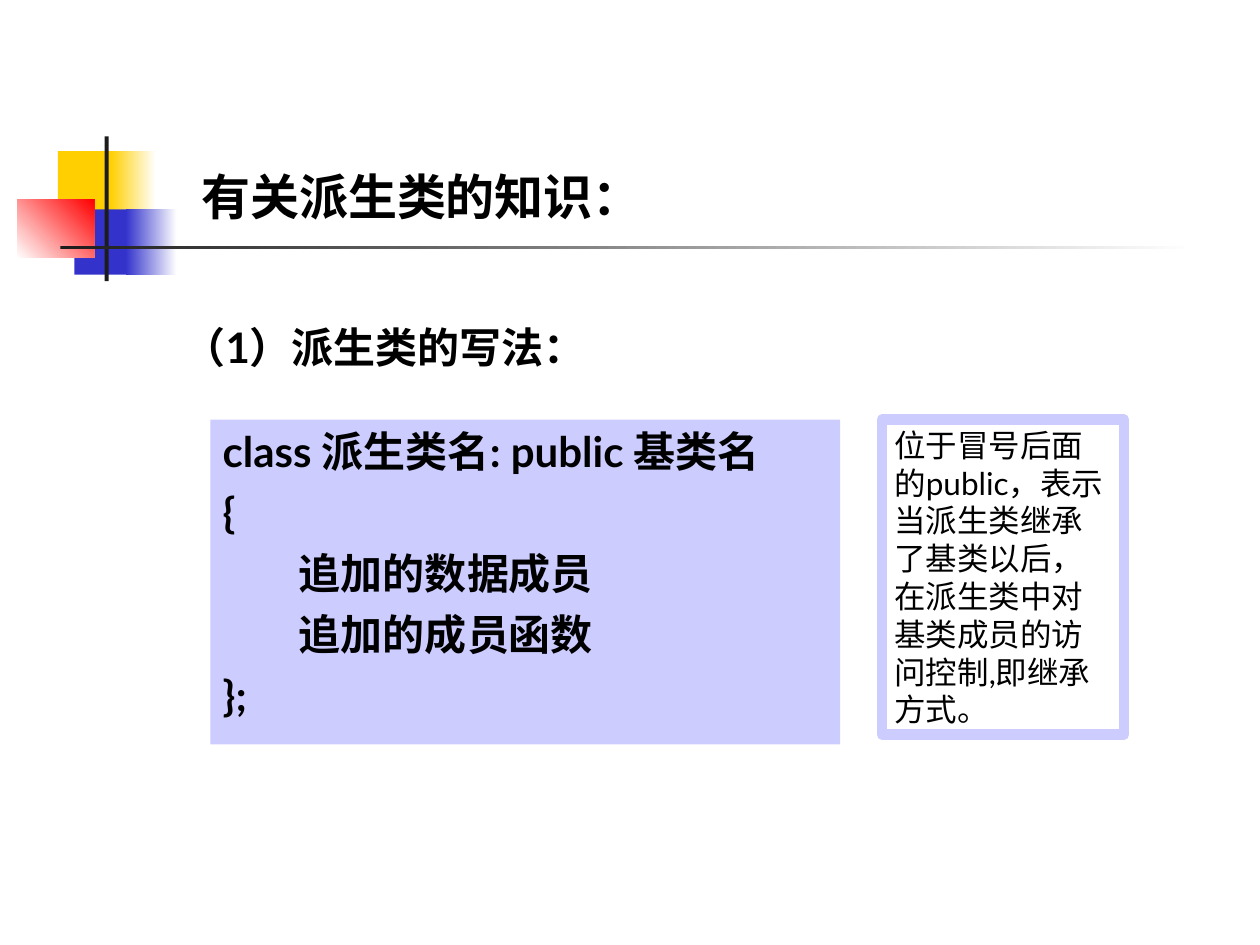
from pptx import Presentation
from pptx.dml.color import RGBColor
from pptx.enum.shapes import MSO_SHAPE
from pptx.enum.text import MSO_ANCHOR, PP_ALIGN
from pptx.oxml.ns import qn
from pptx.util import Cm, Pt
from lxml.etree import SubElement

BLACK = RGBColor(0x00, 0x00, 0x00)
WHITE = RGBColor(0xFF, 0xFF, 0xFF)
YELLOW = RGBColor(0xFF, 0xCF, 0x01)
BLUE = RGBColor(0x33, 0x33, 0xCC)
RED = RGBColor(0xFF, 0x00, 0x00)
CHARCOAL = RGBColor(0x1C, 0x1C, 0x1C)
LAVENDER = RGBColor(0xCC, 0xCC, 0xFF)


class SlideWriter:
    latin_font = "Lato"
    asian_font = "Noto Sans CJK SC"

    def __init__(self, page):
        self.page = page

    def block(self, left, top, width, height, color):
        shape = self.page.shapes.add_shape(
            MSO_SHAPE.RECTANGLE, Cm(left), Cm(top), Cm(width), Cm(height))
        shape.shadow.inherit = False
        shape.line.fill.background()
        shape.fill.solid()
        shape.fill.fore_color.rgb = color
        return shape

    def fade(self, left, top, width, height, start, end, angle=0):
        fill = self.block(left, top, width, height, start).fill
        fill.gradient()
        fill.gradient_angle = angle
        for stop, color, position in zip(fill.gradient_stops, (start, end), (0, 1)):
            stop.color.rgb = color
            stop.position = position

    def text(self, left, top, width, height, lines, size, bold=True,
             anchor=MSO_ANCHOR.TOP, gap=0, hanging=0):
        box = self.page.shapes.add_textbox(Cm(left), Cm(top), Cm(width), Cm(height))
        frame = box.text_frame
        frame.word_wrap = True
        frame.vertical_anchor = anchor
        for index, line in enumerate(lines):
            para = frame.paragraphs[0] if index == 0 else frame.add_paragraph()
            para.text = line
            para.alignment = PP_ALIGN.LEFT
            if index:
                para.space_before = Pt(gap)
            if hanging:
                properties = para._p.get_or_add_pPr()
                properties.set("marL", str(Cm(hanging)))
                properties.set("indent", str(-Cm(hanging)))
            font = para.font
            font.size = Pt(size)
            font.bold = bold
            font.color.rgb = BLACK
            font.name = self.latin_font
            SubElement(font._element, qn("a:ea"), typeface=self.asian_font)
        return box


def main():
    deck = Presentation()
    deck.slide_width, deck.slide_height = Cm(25.4), Cm(19.05)
    writer = SlideWriter(deck.slides.add_slide(deck.slide_layouts[6]))

    writer.block(1.17, 3.05, 1.22, 1.32, YELLOW)
    writer.fade(2.23, 3.05, 0.91, 1.32, YELLOW, WHITE)
    writer.block(1.5, 4.22, 1.17, 1.32, BLUE)
    writer.fade(2.54, 4.22, 1.02, 1.32, BLUE, WHITE)
    writer.fade(0.35, 4.02, 1.55, 1.18, WHITE, RED, angle=45)
    writer.block(2.11, 2.75, 0.08, 2.92, CHARCOAL)
    writer.fade(1.22, 4.95, 22.86, 0.08, CHARCOAL, WHITE)

    writer.text(3.81, 2.97, 9.73, 1.7, ["有关派生类的知识："], 28,
                anchor=MSO_ANCHOR.BOTTOM)

    code_lines = [
        "class 派生类名: public 基类名",
        "{",
        "        追加的数据成员",
        "        追加的成员函数",
        "};",
    ]
    code = writer.text(4.24, 8.46, 12.7, 6.55, code_lines, 24, gap=6, hanging=0.97)
    code.fill.solid()
    code.fill.fore_color.rgb = LAVENDER

    writer.text(3.45, 6.35, 8.4, 1.27, ["（1）派生类的写法："], 24)

    note = writer.text(
        17.78, 8.46, 4.88, 6.35,
        ["位于冒号后面的public，表示当派生类继承了基类以后，"
         "在派生类中对基类成员的访问控制,即继承方式。"],
        18, bold=False)
    note.line.color.rgb = LAVENDER
    note.line.width = Pt(6)

    deck.save("out.pptx")


if __name__ == "__main__":
    main()
